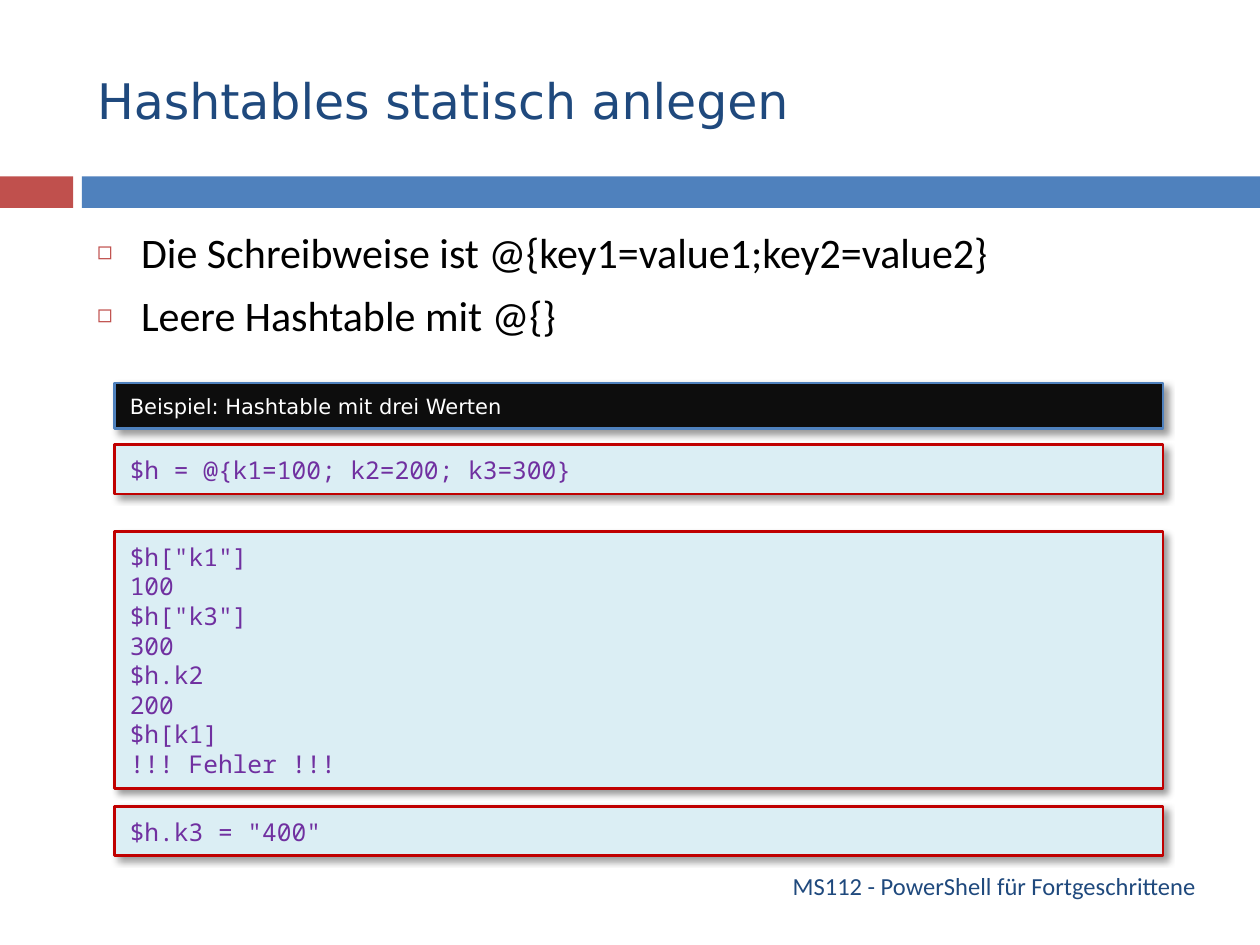
"""Build the slide on creating static hashtables."""
from dataclasses import dataclass

from lxml import etree
from pptx import Presentation
from pptx.dml.color import RGBColor
from pptx.enum.shapes import MSO_SHAPE
from pptx.enum.text import MSO_ANCHOR, MSO_AUTO_SIZE, PP_ALIGN
from pptx.oxml import parse_xml
from pptx.oxml.ns import nsdecls, qn
from pptx.util import Inches, Pt

RECT = MSO_SHAPE.RECTANGLE
TOP, MIDDLE = MSO_ANCHOR.TOP, MSO_ANCHOR.MIDDLE
LEFT, RIGHT = PP_ALIGN.LEFT, PP_ALIGN.RIGHT
GROW, FIXED = MSO_AUTO_SIZE.SHAPE_TO_FIT_TEXT, MSO_AUTO_SIZE.NONE


@dataclass(frozen=True)
class Theme:
    navy: str = "1F497D"
    blue: str = "4F81BD"
    red: str = "C0504D"
    black: str = "000000"
    white: str = "FFFFFF"
    dark: str = "0D0D0D"
    pale: str = "DBEEF4"
    edge: str = "C00000"
    code: str = "7030A0"
    sans: str = "DejaVu Sans"
    text: str = "Calibri"
    mono: str = "Noto Sans Mono"
    head_size: float = 28
    list_size: float = 24
    code_size: float = 14
    note_size: float = 12
    code_line: float = 16.9


theme = Theme()


def write(para, text, font, size, color):
    for i, line in enumerate(text.split("\n")):
        if i:
            para.add_line_break()
        run = para.add_run()
        run.text = line
        run.font.name = font
        run.font.size = Pt(size)
        run.font.color.rgb = RGBColor.from_string(color)


def block(left, top, width, height, fill, line=None):
    shape = slide.shapes.add_shape(
        RECT, Inches(left), Inches(top), Inches(width), Inches(height))
    shape.shadow.inherit = False
    shape.fill.solid()
    shape.fill.fore_color.rgb = RGBColor.from_string(fill)
    if line:
        shape.line.color.rgb = RGBColor.from_string(line)
        shape.line.width = Pt(1.5)
    else:
        shape.line.fill.background()
    return shape


deck = Presentation()
deck.slide_width, deck.slide_height = Inches(10), Inches(7.5)
slide = deck.slides.add_slide(deck.slide_layouts[1])

block(0, 1.4, 0.58, 0.25, theme.red)
block(0.65, 1.4, 9.35, 0.25, theme.blue)

title, body = slide.shapes.title, slide.placeholders[1]
foot = slide.shapes.add_textbox(0, 0, 0, 0)
for item, top, height, anchor in (
        (title, 0.25, 1.08, MIDDLE),
        (body, 1.75, 4.92, TOP),
        (foot, 6.83, 0.4, MIDDLE)):
    item.left, item.top = Inches(0.67), Inches(top)
    item.width, item.height = Inches(8.92), Inches(height)
    frame = item.text_frame
    frame.word_wrap = True
    frame.auto_size = FIXED
    frame.vertical_anchor = anchor

para = title.text_frame.paragraphs[0]
para.alignment = LEFT
write(para, "Hashtables statisch anlegen",
      theme.sans, theme.head_size, theme.navy)

para = foot.text_frame.paragraphs[0]
para.alignment = RIGHT
write(para, "MS112 - PowerShell für Fortgeschrittene",
      theme.text, theme.code_size, theme.navy)

points = ("Die Schreibweise ist @{key1=value1;key2=value2}",
          "Leere Hashtable mit @{}")
frame = body.text_frame
for i, point in enumerate(points):
    para = frame.add_paragraph() if i else frame.paragraphs[0]
    props = para._p.get_or_add_pPr()
    props.set("marL", str(Inches(0.35)))
    props.set("indent", str(-Inches(0.35)))
    tint = etree.SubElement(props, qn("a:buClr"))
    etree.SubElement(tint, qn("a:srgbClr"), val=theme.red)
    etree.SubElement(props, qn("a:buSzPct"), val="60000")
    etree.SubElement(props, qn("a:buChar"), char="◻")
    para.space_before = Pt(7 if i else 0)
    write(para, point, theme.text, theme.list_size, theme.black)

note = (theme.dark, theme.blue, theme.sans, theme.note_size, theme.white, None)
code = (theme.pale, theme.edge, theme.mono, theme.code_size, theme.code,
        Pt(theme.code_line))
panels = (
    (3.04, 0.36, note, ["Beispiel: Hashtable mit drei Werten"]),
    (3.53, 0.39, code, ["$h = @{k1=100; k2=200; k3=300}"]),
    (4.22, 2.04, code, ['$h["k1"]', "100", '$h["k3"]\n300\n$h.k2\n200',
                        "$h[k1]\n!!! Fehler !!!"]),
    (6.4, 0.39, code, ['$h.k3 = "400"']),
)
for top, height, style, lines in panels:
    fill, edge, font, size, color, pitch = style
    panel = block(0.91, top, 8.32, height, fill, edge)
    glow = panel._element.spPr.find(qn("a:effectLst"))
    glow.append(parse_xml(
        f'<a:outerShdw {nsdecls("a")} blurRad="{Pt(4)}" dist="{Pt(3)}" '
        f'dir="2700000" algn="tl" rotWithShape="0">'
        f'<a:srgbClr val="{theme.black}"><a:alpha val="40000"/></a:srgbClr>'
        f'</a:outerShdw>'))
    frame = panel.text_frame
    frame.word_wrap = True
    frame.auto_size = GROW
    frame.vertical_anchor = TOP
    frame.margin_left, frame.margin_right = Inches(0.12), Inches(0.1)
    frame.margin_top = frame.margin_bottom = Inches(0.08)
    for i, line in enumerate(lines):
        para = frame.add_paragraph() if i else frame.paragraphs[0]
        para.alignment = LEFT
        para.line_spacing = pitch
        write(para, line, font, size, color)

deck.save("out.pptx")
